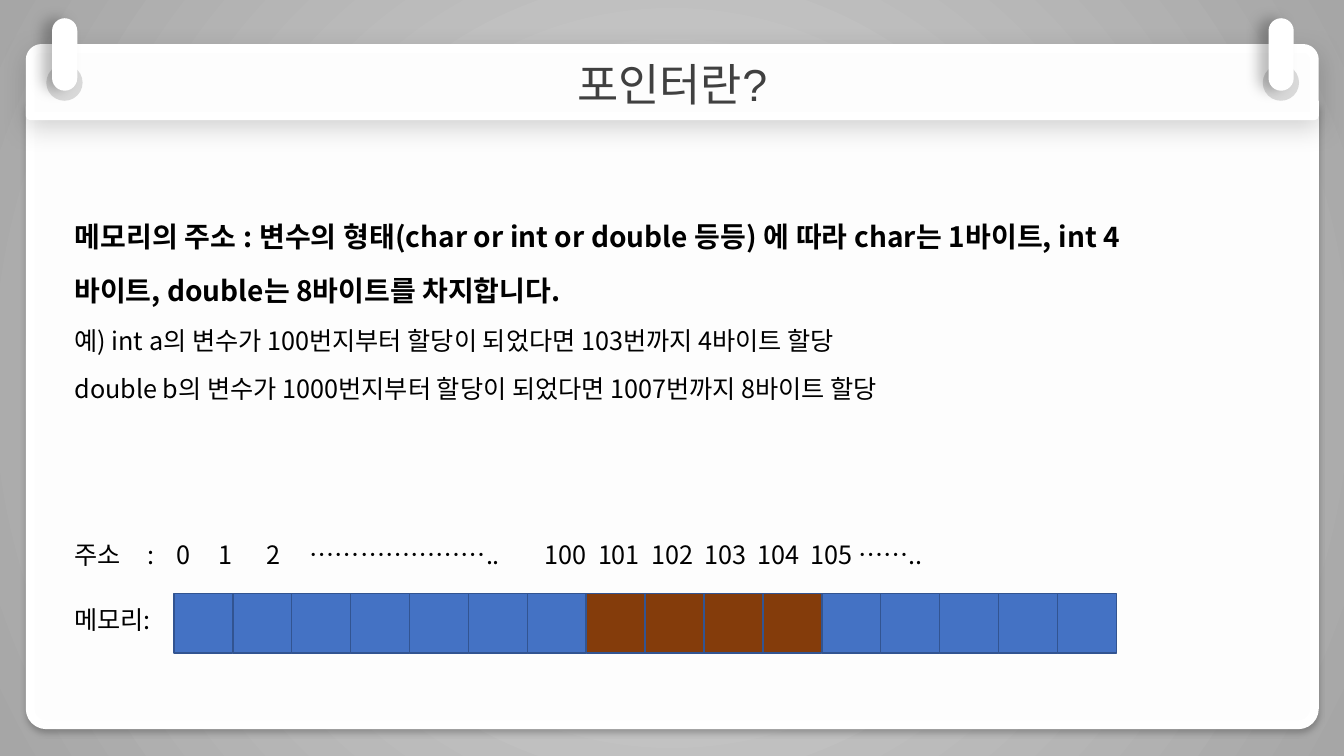
"""Build the slide on pointers and memory addresses."""
from lxml import etree
from pptx import Presentation
from pptx.dml.color import RGBColor
from pptx.enum.shapes import MSO_SHAPE
from pptx.enum.text import MSO_ANCHOR, PP_ALIGN
from pptx.oxml.ns import qn
from pptx.util import Pt

BAR, PILL = MSO_SHAPE.ROUND_2_SAME_RECTANGLE, MSO_SHAPE.ROUNDED_RECTANGLE
OVAL, RECT = MSO_SHAPE.OVAL, MSO_SHAPE.RECTANGLE
MIDDLE, TOP = MSO_ANCHOR.MIDDLE, MSO_ANCHOR.TOP
CENTER, LEFT, JUSTIFY = PP_ALIGN.CENTER, PP_ALIGN.LEFT, PP_ALIGN.JUSTIFY
BLACK, WHITE = RGBColor(0, 0, 0), RGBColor(0xFF, 0xFF, 0xFF)
PAPER, DARK = RGBColor(0xFD, 0xFD, 0xFD), RGBColor(0x40, 0x40, 0x40)
LIGHT, GREY = RGBColor(0xD9, 0xD9, 0xD9), RGBColor(0xA6, 0xA6, 0xA6)
BLUE, NAVY = RGBColor(0x44, 0x72, 0xC4), RGBColor(0x32, 0x54, 0x91)
BROWN = RGBColor(0x84, 0x3C, 0x0B)
NOTO = "Noto Sans CJK KR"

deck = Presentation()
deck.slide_width, deck.slide_height = Pt(960), Pt(540)
slide = deck.slides.add_slide(deck.slide_layouts[6])

back = slide.background.fill
back.gradient()
for stop, color in zip(back.gradient_stops, (LIGHT, GREY)):
    stop.color.rgb = color
grad = slide.element.find(".//" + qn("a:gradFill"))
for lin in grad.findall(qn("a:lin")):
    grad.remove(lin)
ring = etree.SubElement(grad, qn("a:path"), path="circle")
etree.SubElement(ring, qn("a:fillToRect"), l="50000", t="50000", r="50000", b="50000")


def draw(kind, box, fill, line=None, width=1, shade=None):
    """Add a filled shape; shade is alpha, blur, distance and angle."""
    shape = slide.shapes.add_shape(kind, *map(Pt, box))
    shape.fill.solid()
    shape.fill.fore_color.rgb = fill
    if line is None:
        shape.line.fill.background()
    else:
        shape.line.color.rgb = line
        shape.line.width = Pt(width)
    shape.shadow.inherit = False
    if shade:
        alpha, blur, dist, angle = shade
        cast = etree.SubElement(
            shape.element.spPr.find(qn("a:effectLst")), qn("a:outerShdw"),
            blurRad=str(Pt(blur)), dist=str(Pt(dist)), dir=str(angle * 60000),
            algn="ctr", rotWithShape="0")
        tint = etree.SubElement(cast, qn("a:srgbClr"), val=str(BLACK))
        etree.SubElement(tint, qn("a:alpha"), val=str(alpha * 1000))
    return shape


def write(shape, lines, anchor=TOP, align=LEFT, space=1, color=BLACK, face=NOTO):
    """Write lines of text, size and weight into a shape."""
    frame = shape.text_frame
    frame.word_wrap = True
    frame.vertical_anchor = anchor
    for i, (text, size, bold) in enumerate(lines):
        para = frame.add_paragraph() if i else frame.paragraphs[0]
        para.alignment, para.line_spacing = align, space
        run = para.add_run()
        run.text = text
        run.font.color.rgb = color
        for name, value in {"size": Pt(size), "bold": bold, "name": face}.items():
            setattr(run.font, name, value)
        etree.SubElement(run.font._element, qn("a:ea"), typeface=NOTO)
    return frame


page = draw(BAR, (21.6, 76.3, 917.3, 441.4), PAPER, WHITE, 6.25, (24, 4, 3, 90))
page.adjustments[0], page.adjustments[1] = 0, 0.026
head = draw(BAR, (21.6, 34.6, 917.3, 48.2), PAPER, WHITE, 6.25, (17, 18, 5, 90))
write(head, [("포인터란?", 32, False)], MIDDLE, CENTER, color=DARK, face="Arial")

for x in (33.1, 902):
    draw(OVAL, (x, 46.1, 25.9, 25.9), LIGHT)
    pin = draw(PILL, (x + 4.1, 13, 18, 51.8), WHITE, shade=(25, 10, 7, 180))
    pin.adjustments[0] = 0.5

body = [
    ("메모리의 주소 : 변수의 형태(char or int or double 등등) 에 따라 "
     "char는 1바이트, int 4바이트, double는 8바이트를 차지합니다.", 20, True),
    ("예) int a의 변수가 100번지부터 할당이 되었다면 103번까지 4바이트 할당", 18, False),
    ("double b의 변수가 1000번지부터 할당이 되었다면 1007번까지 8바이트 할당", 18, False),
]
note = slide.shapes.add_textbox(Pt(46.1), Pt(139), Pt(761), Pt(150))
write(note, body, align=JUSTIFY, space=1.6)

marks = ["주소", ":", "0", "1", "2", "…………………..",
         "100", "101", "102", "103", "104", "105 …….."]
tabs = [52.5, 73, 103, 137, 168] + [336 + 38 * i for i in range(6)]
row = slide.shapes.add_textbox(Pt(46.1), Pt(381.6), Pt(820), Pt(29))
frame = write(row, [("\t".join(marks), 18, False)])
stops = etree.SubElement(frame.paragraphs[0]._p.get_or_add_pPr(), qn("a:tabLst"))
for tab in tabs:
    etree.SubElement(stops, qn("a:tab"), pos=str(Pt(tab)), algn="l")

label = slide.shapes.add_textbox(Pt(46.1), Pt(428.4), Pt(797), Pt(29))
write(label, [("메모리:", 18, False)])
for i in range(16):
    draw(RECT, (124.3 + 42.07 * i, 424.1, 42, 42.5), BROWN if 7 <= i <= 10 else BLUE, NAVY)

deck.save("out.pptx")
